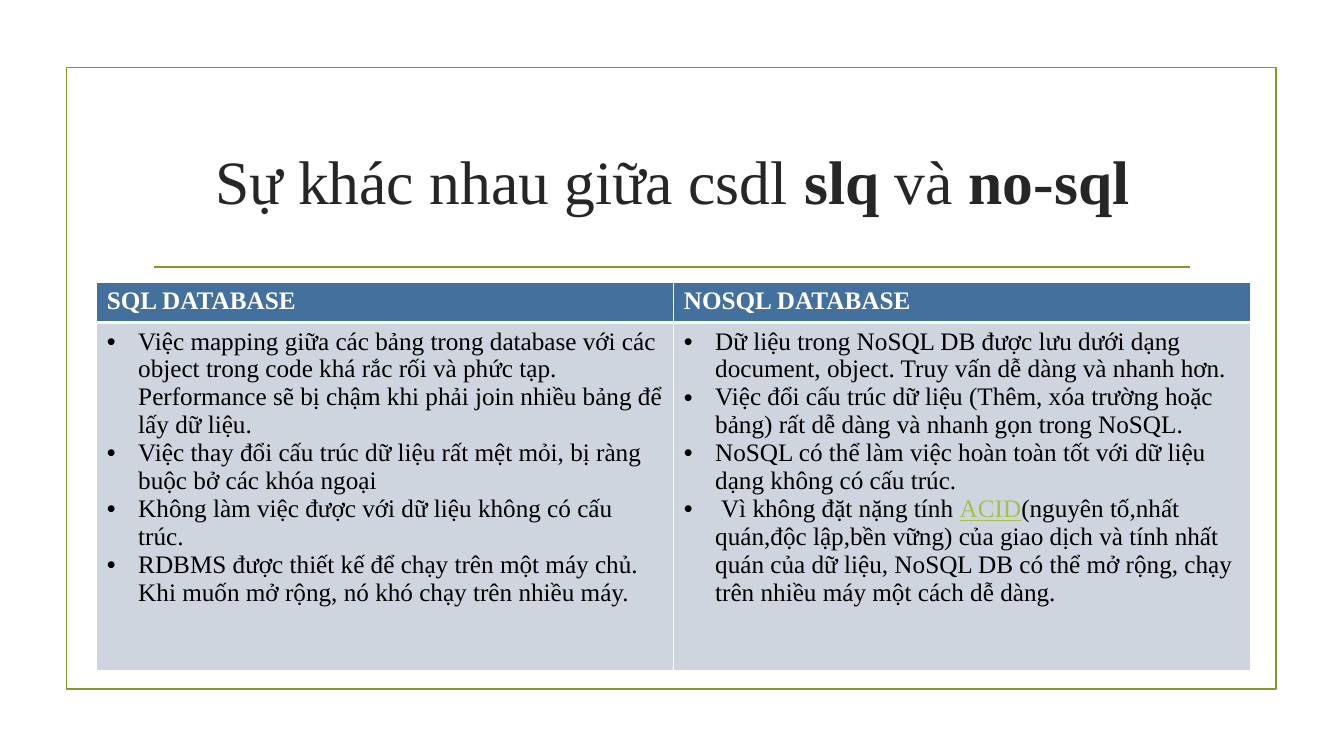
from lxml import etree
from pptx import Presentation
from pptx.dml.color import RGBColor
from pptx.enum.shapes import MSO_CONNECTOR, MSO_SHAPE
from pptx.enum.text import MSO_ANCHOR, PP_ALIGN
from pptx.oxml.ns import qn
from pptx.util import Cm, Pt

RECTANGLE = MSO_SHAPE.RECTANGLE
STRAIGHT = MSO_CONNECTOR.STRAIGHT
MIDDLE = MSO_ANCHOR.MIDDLE
CENTER = PP_ALIGN.CENTER

FONT = "Times New Roman"
OLIVE, WHITE, BLACK, CHARCOAL = "83992A", "FFFFFF", "000000", "262626"
HEADER_FILL, BODY_FILL, LINK = "44709D", "CFD5DF", "A8BF4D"

TITLE = [("Sự khác nhau giữa csdl ", False), ("slq ", True), ("và ", False), ("no-sql", True)]
LINKED_WORD = "ACID"
COLUMNS = [
    ("SQL DATABASE", [
        ["Việc mapping giữa các bảng trong database với các object trong code khá rắc rối và phức tạp. "
         "Performance sẽ bị chậm khi phải join nhiều bảng để lấy dữ liệu."],
        ["Việc thay đổi cấu trúc dữ liệu rất mệt mỏi, bị ràng buộc bở các khóa ngoại"],
        ["Không làm việc được với dữ liệu không có cấu trúc."],
        ["RDBMS được thiết kế để chạy trên một máy chủ. Khi muốn mở rộng, nó khó chạy trên nhiều máy."],
    ]),
    ("NOSQL DATABASE", [
        ["Dữ liệu trong NoSQL DB được lưu dưới dạng document, object. Truy vấn dễ dàng và nhanh hơn."],
        ["Việc đổi cấu trúc dữ liệu (Thêm, xóa trường hoặc bảng) rất dễ dàng và nhanh gọn trong NoSQL."],
        ["NoSQL có thể làm việc hoàn toàn tốt với dữ liệu dạng không có cấu trúc."],
        [" Vì không đặt nặng tính ", LINKED_WORD,
         "(nguyên tố,nhất quán,độc lập,bền vững) của giao dịch và tính nhất quán của dữ liệu, "
         "NoSQL DB có thể mở rộng, chạy trên nhiều máy một cách dễ dàng."],
    ]),
]

SLIDE_WIDTH, SLIDE_HEIGHT = Cm(33.87), Cm(19.05)
FRAME = (Cm(1.68), Cm(1.7), Cm(30.48), Cm(15.67))
RULE_LEFT, RULE_RIGHT, RULE_TOP = Cm(3.89), Cm(30), Cm(6.73)
TITLE_AREA = (Cm(3.61), Cm(2.72), Cm(26.67), Cm(3.63))
TABLE_LEFT, TABLE_TOP, COLUMN_WIDTH = Cm(2.44), Cm(7.11), Cm(14.54)
ROW_HEIGHTS = [Cm(0.94), Cm(8.76)]
INDENT = Cm(0.79)


def color(value):
    return RGBColor.from_string(value)


def add_span(para, text, size, ink, bold=False, underline=False):
    span = para.add_run()
    span.text = text
    span.font.name = FONT
    span.font.size = Pt(size)
    span.font.color.rgb = color(ink)
    span.font.bold = bold
    span.font.underline = underline


def style_line(line):
    line.color.rgb = color(OLIVE)
    line.width = Pt(1.25)


def add_bullet(para):
    properties = para._p.get_or_add_pPr()
    properties.set("marL", str(INDENT))
    properties.set("indent", str(-INDENT))
    etree.SubElement(properties, qn("a:buFont"), typeface="Arial")
    etree.SubElement(properties, qn("a:buChar"), char="•")


def style_cell(cell, fill, top, bottom):
    cell.fill.solid()
    cell.fill.fore_color.rgb = color(fill)
    properties = cell._tc.get_or_add_tcPr()
    widths = [("a:lnL", 1), ("a:lnR", 1), ("a:lnT", top), ("a:lnB", bottom)]
    for position, (side, width) in enumerate(widths):
        border = etree.Element(qn(side), w=str(Pt(width)))
        solid = etree.SubElement(border, qn("a:solidFill"))
        etree.SubElement(solid, qn("a:srgbClr"), val=WHITE)
        properties.insert(position, border)


def add_frame(page):
    frame = page.shapes.add_shape(RECTANGLE, *FRAME)
    frame.shadow.inherit = False
    frame.fill.background()
    style_line(frame.line)
    rule = page.shapes.add_connector(STRAIGHT, RULE_LEFT, RULE_TOP, RULE_RIGHT, RULE_TOP)
    style_line(rule.line)
    etree.SubElement(rule._element.spPr, qn("a:effectLst"))


def add_title(page):
    box = page.shapes.add_textbox(*TITLE_AREA).text_frame
    box.word_wrap = True
    box.vertical_anchor = MIDDLE
    para = box.paragraphs[0]
    para.alignment = CENTER
    for text, bold in TITLE:
        add_span(para, text, 44, CHARCOAL, bold)


def add_comparison(page):
    table = page.shapes.add_table(
        len(ROW_HEIGHTS), len(COLUMNS), TABLE_LEFT, TABLE_TOP,
        COLUMN_WIDTH * len(COLUMNS), sum(ROW_HEIGHTS)).table
    for row, height in zip(table.rows, ROW_HEIGHTS):
        row.height = height
    for index, (heading, points) in enumerate(COLUMNS):
        table.columns[index].width = COLUMN_WIDTH
        header, body = table.cell(0, index), table.cell(1, index)
        style_cell(header, HEADER_FILL, 1, 3)
        style_cell(body, BODY_FILL, 3, 1)
        add_span(header.text_frame.paragraphs[0], heading, 18, WHITE, True)
        for number, point in enumerate(points):
            box = body.text_frame
            para = box.add_paragraph() if number else box.paragraphs[0]
            add_bullet(para)
            for text in point:
                linked = text == LINKED_WORD
                add_span(para, text, 18, LINK if linked else BLACK, underline=linked)


def main():
    deck = Presentation()
    deck.slide_width, deck.slide_height = SLIDE_WIDTH, SLIDE_HEIGHT
    page = deck.slides.add_slide(deck.slide_layouts[6])
    add_frame(page)
    add_title(page)
    add_comparison(page)
    deck.save("out.pptx")


if __name__ == "__main__":
    main()
